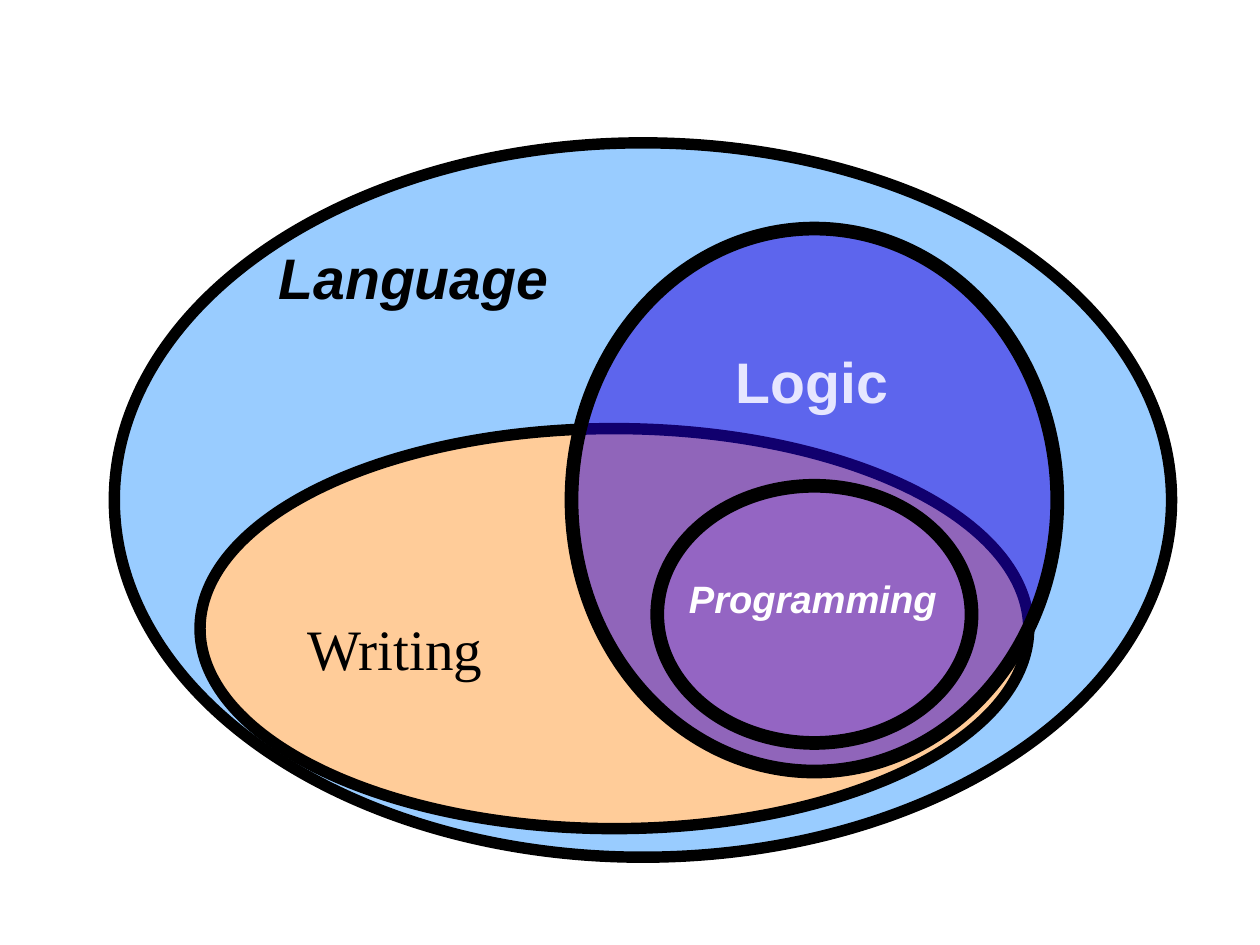
from collections import namedtuple
from dataclasses import dataclass

from lxml.etree import SubElement
from pptx import Presentation
from pptx.dml.color import RGBColor as RGB
from pptx.enum.shapes import MSO_SHAPE as Shape
from pptx.enum.text import MSO_ANCHOR as Anchor
from pptx.oxml.ns import qn
from pptx.util import Pt

Box = namedtuple("Box", "left top width height")


@dataclass(frozen=True)
class Theme:
    black: str = "000000"
    white: str = "FFFFFF"
    lavender: str = "E6E6FF"
    language: str = "99CCFF"
    writing: str = "FFCC99"
    logic: str = "2300DC"
    programming: str = "9966CC"
    sans: str = "Arial"
    serif: str = "Times New Roman"
    large: float = 36
    small: float = 24
    outline: float = 7.2
    heavy_outline: float = 8.65
    line_spacing: float = 0.93


THEME = Theme()


def within(parent, box):
    return Box(parent.left + box.left, parent.top + box.top, box.width, box.height)


def add_ellipse(slide, box, color, outline=THEME.outline, opacity=100):
    shape = slide.shapes.add_shape(Shape.OVAL, *map(Pt, box))
    shape.shadow.inherit = False
    shape.fill.solid()
    shape.fill.fore_color.rgb = RGB.from_string(color)
    if opacity < 100:
        fill_color = shape._element.spPr.find(qn("a:solidFill"))[0]
        SubElement(fill_color, qn("a:alpha"), val=str(opacity * 1000))
    shape.line.color.rgb = RGB.from_string(THEME.black)
    shape.line.width = Pt(outline)


def add_text(slide, box, text, font=THEME.sans, size=THEME.large, color=THEME.black,
             bold=False, italic=False, left_inset=13.5, top_inset=12.5):
    frame = slide.shapes.add_textbox(*map(Pt, box)).text_frame
    frame.word_wrap = True
    frame.vertical_anchor = Anchor.TOP
    frame.margin_left, frame.margin_right = Pt(left_inset), Pt(13.5)
    frame.margin_top, frame.margin_bottom = Pt(top_inset), Pt(10)
    paragraph = frame.paragraphs[0]
    paragraph.line_spacing = THEME.line_spacing
    run = paragraph.add_run()
    run.text = text
    run.font.name = font
    run.font.size = Pt(size)
    run.font.bold = bold
    run.font.italic = italic
    run.font.color.rgb = RGB.from_string(color)


def add_sets(slide, box):
    translucent = dict(outline=THEME.heavy_outline, opacity=50)
    add_ellipse(slide, box, THEME.language)
    add_ellipse(slide, within(box, Box(54, 180, 522, 252)), THEME.writing)
    add_ellipse(slide, within(box, Box(288, 54, 306, 342)), THEME.logic, **translucent)
    add_ellipse(slide, within(box, Box(342, 216, 198, 162)), THEME.programming,
                **translucent)


def add_labels(slide, box):
    add_text(slide, within(box, Box(90, 54, 216, 90)), "Language",
             bold=True, italic=True)
    add_text(slide, within(box, Box(108, 288, 216, 72)), "Writing", font=THEME.serif)
    add_text(slide, within(box, Box(342, 263.5, 198, 60.5)), "Programming",
             size=THEME.small, color=THEME.white, bold=True, italic=True,
             left_inset=20, top_inset=11.5)
    add_text(slide, within(box, Box(378, 119.5, 144, 60.5)), "Logic",
             color=THEME.lavender, bold=True)


def main():
    presentation = Presentation()
    presentation.slide_width, presentation.slide_height = Pt(793.7), Pt(595.28)
    slide = presentation.slides.add_slide(presentation.slide_layouts[6])
    diagram = Box(72, 90, 666, 450)
    add_sets(slide, diagram)
    add_labels(slide, diagram)
    presentation.save("out.pptx")


if __name__ == "__main__":
    main()
